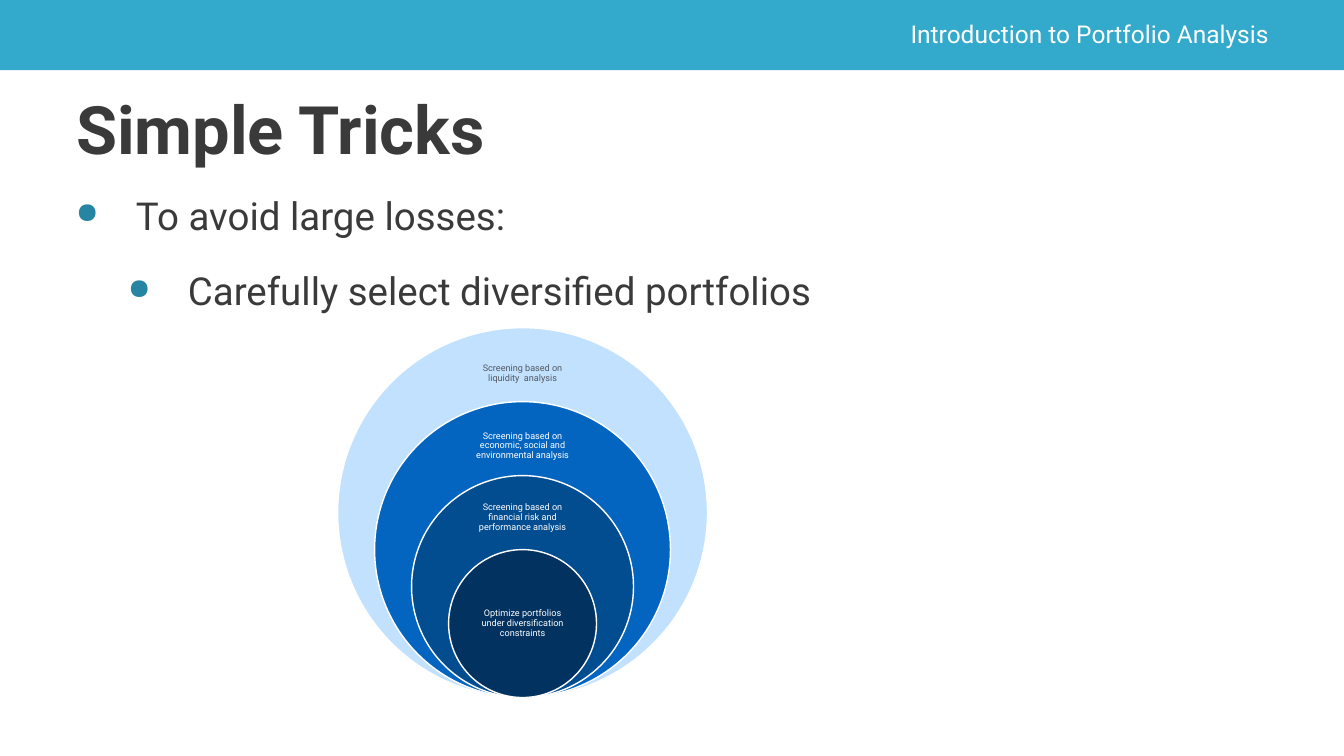
from dataclasses import dataclass

from lxml.etree import SubElement
from pptx import Presentation
from pptx.dml.color import RGBColor
from pptx.enum.shapes import MSO_SHAPE
from pptx.enum.text import MSO_ANCHOR, MSO_AUTO_SIZE, PP_ALIGN
from pptx.oxml.ns import qn
from pptx.util import Emu, Inches, Pt


@dataclass(frozen=True)
class Theme:
    font: str = "Roboto"
    band: str = "33A9CC"
    white: str = "FFFFFF"
    ink: str = "3A3A3A"
    gray: str = "53585F"
    dot: str = "2685A2"
    head: float = 35
    title: float = 95.4
    body: float = 55
    label: float = 13
    edge: float = 2


@dataclass(frozen=True)
class Box:
    """Place and size on a grid of 100 columns by 100 rows."""
    left: float
    top: float
    width: float
    height: float


@dataclass(frozen=True)
class Ring:
    """Scale, label drop and label depth are percent; drop and depth are of the ring."""
    text: str
    fill: str
    ink: str
    scale: float
    drop: float
    depth: float


@dataclass(frozen=True)
class Point:
    text: str
    level: int
    indent: float


THEME = Theme()
WIDE, HIGH = Inches(26.67), Inches(15)
MIDDLE, BASE, OUTER = 38.88, 92.27, 27.52  # rings share a bottom point
HANG = 1.19

RINGS = [
    Ring("Screening based on liquidity  analysis", "C1E1FE", THEME.gray, 100, 5, 15),
    Ring("Screening based on economic, social and environmental analysis",
         "0365C0", THEME.white, 80, 6, 18),
    Ring("Screening based on financial risk and performance analysis",
         "024C90", THEME.white, 60, 7.5, 22.5),
    Ring("Optimize portfolios under diversification constraints",
         "013260", THEME.white, 40, 25, 50),
]
POINTS = [
    Point("To avoid large losses:", 0, 1.36),
    Point("Carefully select diversified portfolios", 1, 2.39),
]


def place(box: Box) -> tuple:
    return (Emu(int(WIDE * box.left / 100)), Emu(int(HIGH * box.top / 100)),
            Emu(int(WIDE * box.width / 100)), Emu(int(HIGH * box.height / 100)))


def set_frame(frame, inset: float, anchor=MSO_ANCHOR.MIDDLE) -> None:
    frame.word_wrap = True
    frame.auto_size = MSO_AUTO_SIZE.NONE
    frame.vertical_anchor = anchor
    frame.margin_left = frame.margin_right = Inches(inset)
    frame.margin_top = frame.margin_bottom = Inches(inset)


def add_run(para, text: str, size: float, color: str, bold: bool = False) -> None:
    run = para.add_run()
    run.text = text
    run.font.name = THEME.font
    run.font.size = Pt(size)
    run.font.bold = bold
    run.font.color.rgb = RGBColor.from_string(color)


def add_text(slide, box: Box, inset: float, anchor=MSO_ANCHOR.MIDDLE):
    frame = slide.shapes.add_textbox(*place(box)).text_frame
    set_frame(frame, inset, anchor)
    return frame


def add_shape(slide, kind, box: Box, fill: str):
    shape = slide.shapes.add_shape(kind, *place(box))
    shape.shadow.inherit = False
    shape.fill.solid()
    shape.fill.fore_color.rgb = RGBColor.from_string(fill)
    shape.line.fill.background()
    return shape


def add_bullet(para, indent: float) -> None:
    props = para._p.get_or_add_pPr()
    props.set("marL", str(Inches(indent)))
    props.set("indent", str(-Inches(HANG)))
    color = SubElement(props, qn("a:buClr"))
    SubElement(color, qn("a:srgbClr"), val=THEME.dot)
    SubElement(props, qn("a:buSzPct"), val="75000")
    SubElement(props, qn("a:buChar"), char="●")


def add_ring(slide, ring: Ring) -> None:
    width = OUTER * ring.scale / 100
    height = width * WIDE / HIGH
    top = BASE - height
    disc = add_shape(slide, MSO_SHAPE.OVAL,
                     Box(MIDDLE - width / 2, top, width, height), ring.fill)
    disc.line.color.rgb = RGBColor.from_string(THEME.white)
    disc.line.width = Pt(THEME.edge)

    span = 7.7
    box = Box(MIDDLE - span / 2, top + height * ring.drop / 100,
              span, height * ring.depth / 100)
    para = add_text(slide, box, 0.1).paragraphs[0]
    para.alignment = PP_ALIGN.CENTER
    para.line_spacing = 0.9
    para.space_after = Pt(THEME.label * 0.35)
    add_run(para, ring.text, THEME.label, ring.ink)


def main() -> None:
    deck = Presentation()
    deck.slide_width, deck.slide_height = WIDE, HIGH
    slide = deck.slides.add_slide(deck.slide_layouts[5])

    # Header band
    add_shape(slide, MSO_SHAPE.RECTANGLE, Box(0, 0, 100, 9.27), THEME.band)
    para = add_text(slide, Box(65.43, 2.13, 29.21, 4.6), 0.06).paragraphs[0]
    para.alignment = PP_ALIGN.RIGHT
    add_run(para, "Introduction to Portfolio Analysis", THEME.head, THEME.white)

    # Title
    title = slide.shapes.title
    title.left, title.top, title.width, title.height = place(
        Box(5.36, 10.53, 75.03, 12.8))
    set_frame(title.text_frame, 0.08)
    para = title.text_frame.paragraphs[0]
    para.alignment = PP_ALIGN.LEFT
    add_run(para, "Simple Tricks", THEME.title, THEME.ink, bold=True)

    # Bullet points
    frame = add_text(slide, Box(4.72, 24.8, 74.69, 69), 0.08, MSO_ANCHOR.TOP)
    for index, point in enumerate(POINTS):
        para = frame.add_paragraph() if index else frame.paragraphs[0]
        para.level = point.level
        para.space_before = Pt(42)
        add_bullet(para, point.indent)
        add_run(para, point.text, THEME.body, THEME.ink)

    # Nested rings, outermost first
    for ring in RINGS:
        add_ring(slide, ring)

    deck.save("out.pptx")


if __name__ == "__main__":
    main()
